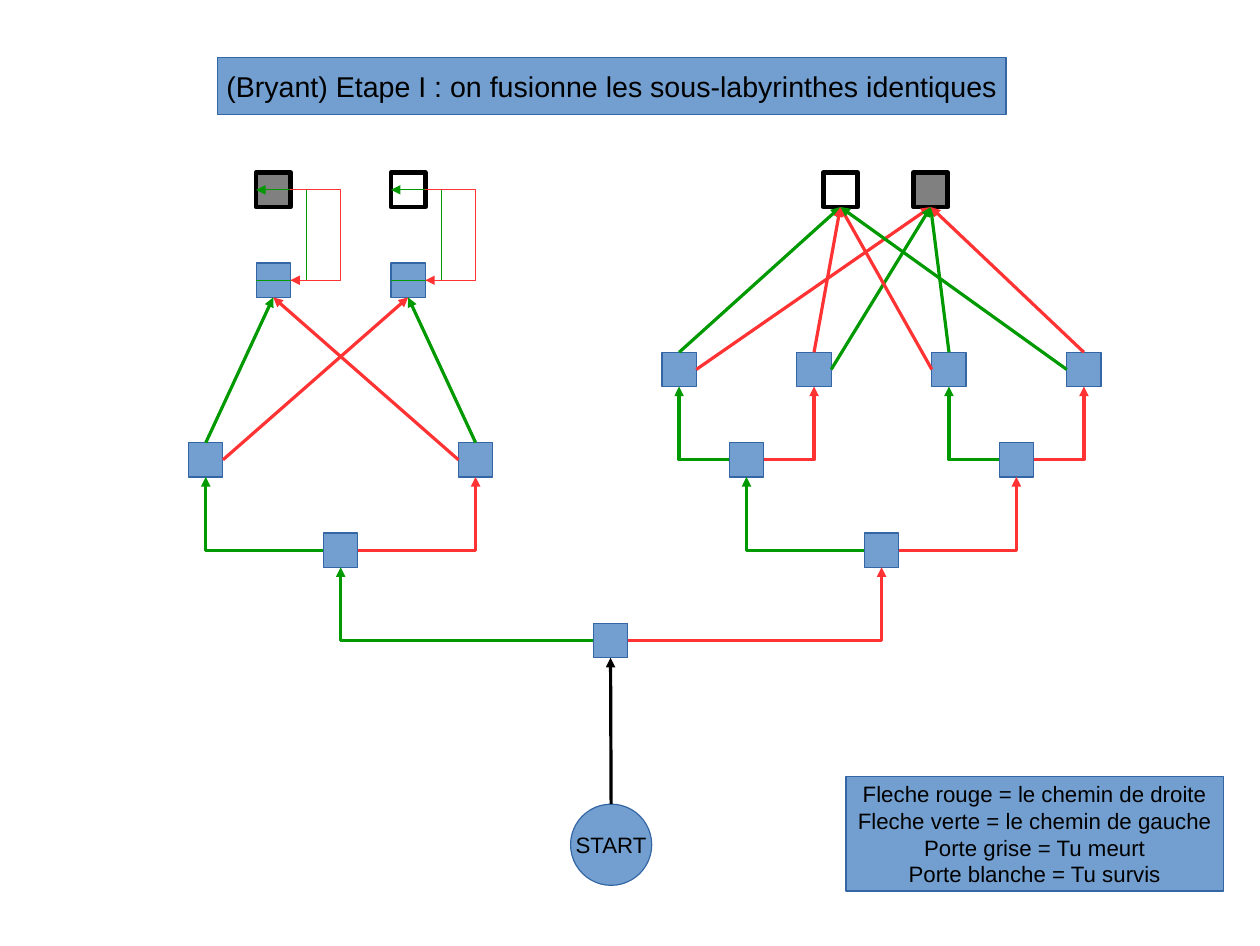
from lxml.etree import SubElement
from pptx import Presentation
from pptx.dml.color import RGBColor
from pptx.enum.shapes import MSO_CONNECTOR, MSO_SHAPE
from pptx.enum.text import MSO_ANCHOR, PP_ALIGN
from pptx.oxml.ns import qn
from pptx.util import Inches, Pt

GREEN, RED, BLACK = "009900", "FF3333", "000000"
TOP, LEFT, BOTTOM, RIGHT = range(4)
SIDE = 0.3
LOOP_REACH = 0.44

deck = Presentation()
deck.slide_width, deck.slide_height = Inches(11.02), Inches(8.27)
slide = deck.slides.add_slide(deck.slide_layouts[6])


def add_box(text, left, top, width, height, kind=MSO_SHAPE.RECTANGLE,
            fill="729FCF", border="3465A4", weight=0, size=14):
    box = slide.shapes.add_shape(
        kind, Inches(left), Inches(top), Inches(width), Inches(height))
    box.shadow.inherit = False
    box.fill.solid()
    box.fill.fore_color.rgb = RGBColor.from_string(fill)
    box.line.color.rgb = RGBColor.from_string(border)
    box.line.width = Pt(weight)
    if text:
        frame = box.text_frame
        frame.word_wrap = False
        frame.vertical_anchor = MSO_ANCHOR.MIDDLE
        frame.text = text
        for paragraph in frame.paragraphs:
            paragraph.alignment = PP_ALIGN.CENTER
            paragraph.font.name = "Arial"
            paragraph.font.size = Pt(size)
            paragraph.font.color.rgb = RGBColor.from_string(BLACK)
    return box


def style_arrow(arrow, color):
    arrow.line.color.rgb = RGBColor.from_string(color)
    arrow.line.width = Pt(0)
    properties = arrow.element.spPr
    SubElement(properties.find(qn("a:ln")), qn("a:tailEnd"), type="triangle")
    if properties.find(qn("a:effectLst")) is None:
        SubElement(properties, qn("a:effectLst"))


# Title
add_box("(Bryant) Etape I : on fusionne les sous-labyrinthes identiques",
        1.9, 0.5, 6.9, 0.5, size=18)

# Rooms of the maze, row by row from the entrance upwards
room_rows = [
    (5.45, {"entrance": 5.19}),
    (4.66, {"west": 2.83, "east": 7.56}),
    (3.87, {"west 1": 1.65, "west 2": 4.01, "east 1": 6.38, "east 2": 8.74}),
    (3.08, {"east 11": 5.79, "east 12": 6.97, "east 21": 8.15, "east 22": 9.33}),
    (2.3, {"merged 1": 2.24, "merged 2": 3.42}),
]
places = {}
for top, rooms in room_rows:
    for name, left in rooms.items():
        places[name] = add_box("", left, top, SIDE, SIDE)

# Exit doors: grey is death, white is survival
door_top = 1.51
doors = [("west grey", 2.24, "808080"), ("west white", 3.42, "FFFFFF"),
         ("east white", 7.2, "FFFFFF"), ("east grey", 7.99, "808080")]
for name, left, fill in doors:
    places[name] = add_box("", left, door_top, SIDE, SIDE,
                           fill=fill, border=BLACK, weight=3)

places["start"] = add_box("START", 4.99, 7.03, 0.71, 0.71, kind=MSO_SHAPE.OVAL)

# Elbow paths: green to the left room, red to the right room
forks = [("entrance", "west", "east"), ("west", "west 1", "west 2"),
         ("east", "east 1", "east 2"), ("east 1", "east 11", "east 12"),
         ("east 2", "east 21", "east 22")]
for fork, left_room, right_room in forks:
    for room, side, color in [(left_room, LEFT, GREEN), (right_room, RIGHT, RED)]:
        path = slide.shapes.add_connector(MSO_CONNECTOR.ELBOW, 0, 0, 0, 0)
        path.begin_connect(places[fork], side)
        path.end_connect(places[room], BOTTOM)
        path.element.spPr.find(qn("a:prstGeom")).set("prst", "bentConnector2")
        style_arrow(path, color)

# Straight paths into the merged rooms and the doors
straight_paths = [
    ("start", TOP, "entrance", BLACK),
    ("east 11", TOP, "east white", GREEN), ("east 11", RIGHT, "east grey", RED),
    ("east 12", TOP, "east white", RED), ("east 12", RIGHT, "east grey", GREEN),
    ("east 21", TOP, "east grey", GREEN), ("east 21", LEFT, "east white", RED),
    ("east 22", TOP, "east grey", RED), ("east 22", LEFT, "east white", GREEN),
    ("west 1", TOP, "merged 1", GREEN), ("west 1", RIGHT, "merged 2", RED),
    ("west 2", TOP, "merged 2", GREEN), ("west 2", LEFT, "merged 1", RED),
]
for origin, side, target, color in straight_paths:
    path = slide.shapes.add_connector(MSO_CONNECTOR.STRAIGHT, 0, 0, 0, 0)
    path.begin_connect(places[origin], side)
    path.end_connect(places[target], BOTTOM)
    style_arrow(path, color)

# Loops between each merged room and its door
room_y, door_y = 2.45, 1.66
for left in room_rows[-1][1].values():
    for x, start_y, end_y, color in [(left, room_y, door_y, GREEN),
                                     (left + SIDE, door_y, room_y, RED)]:
        turn_x = x + LOOP_REACH
        outline = slide.shapes.build_freeform(Inches(x), Inches(start_y))
        outline.add_line_segments(
            [(Inches(px), Inches(py)) for px, py in
             [(turn_x, start_y), (turn_x, end_y), (x, end_y)]], close=False)
        loop = outline.convert_to_shape()
        loop.shadow.inherit = False
        loop.fill.background()
        style_arrow(loop, color)

# Legend
add_box("Fleche rouge = le chemin de droite\n"
        "Fleche verte = le chemin de gauche\n"
        "Porte grise = Tu meurt\n"
        "Porte blanche = Tu survis", 7.4, 6.79, 3.3, 1)

deck.save("out.pptx")
